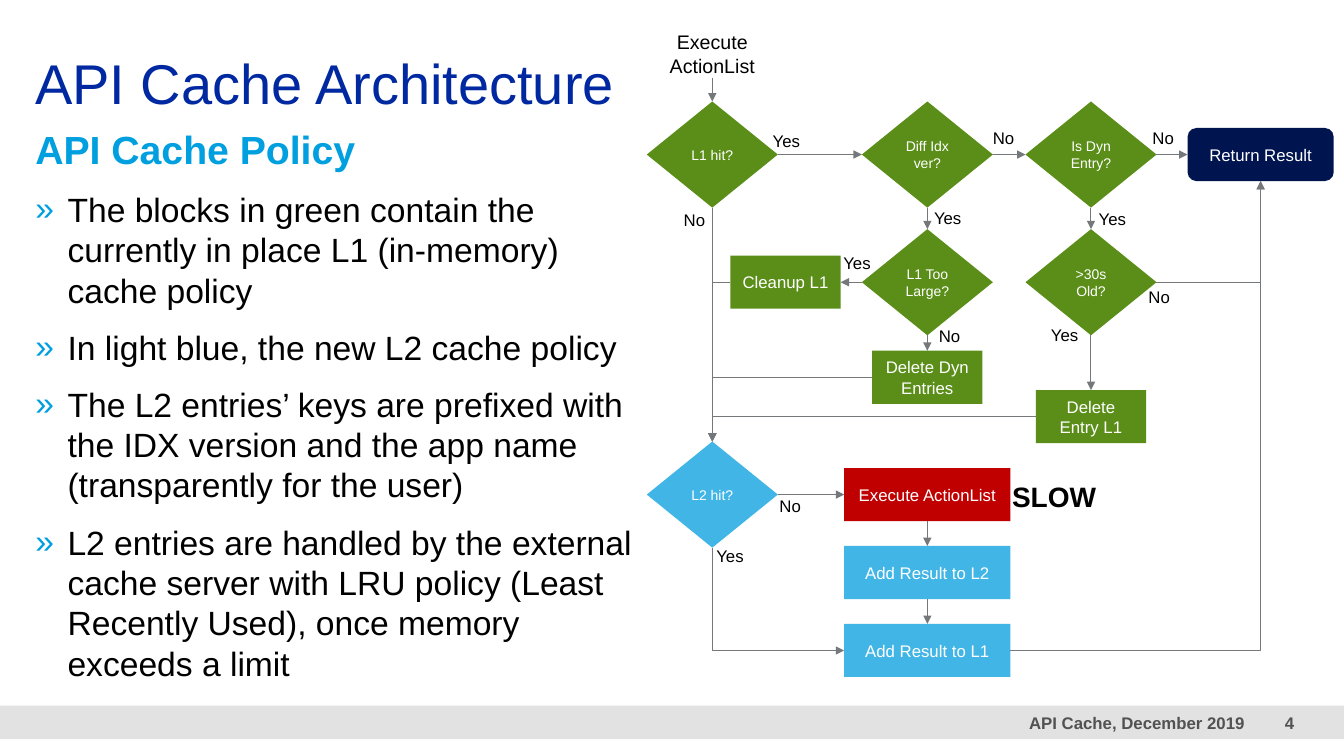
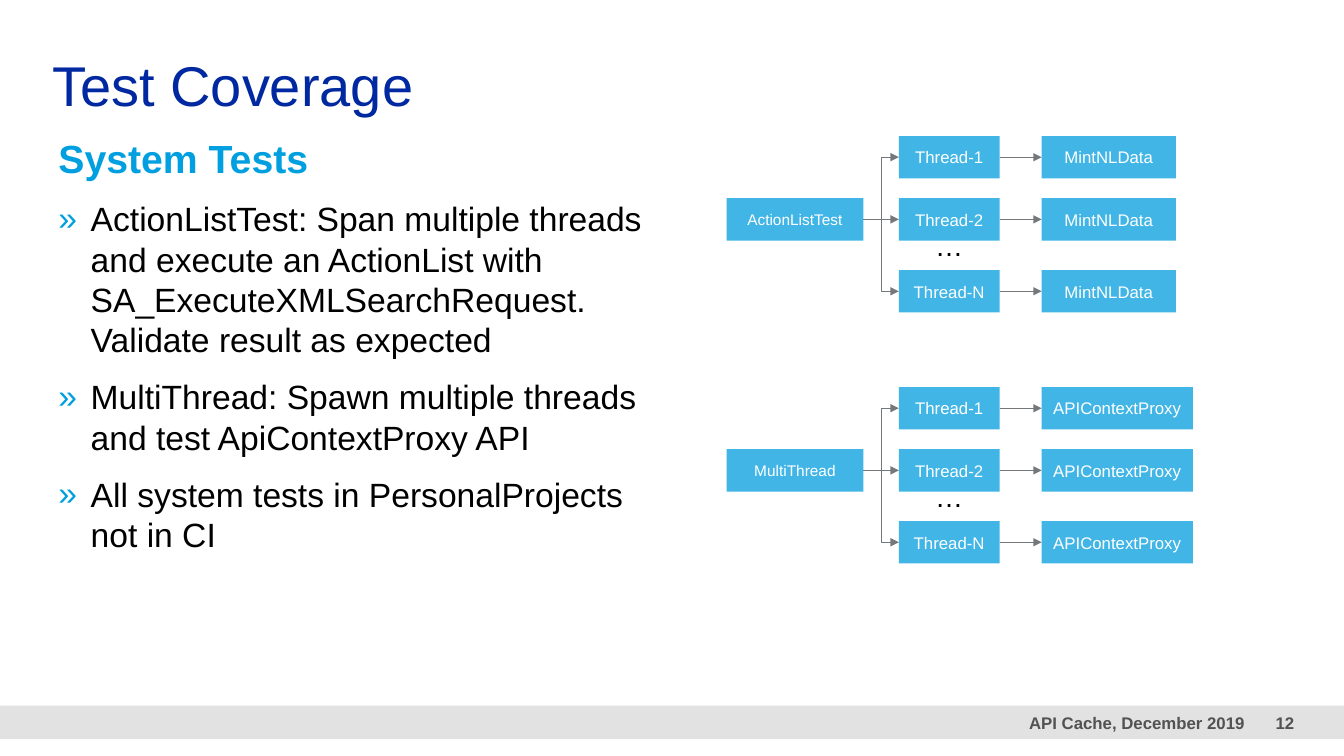
"""Build two slides on the API cache: its policy flow and its test coverage."""
from dataclasses import dataclass

from lxml.etree import SubElement
from pptx import Presentation
from pptx.dml.color import RGBColor
from pptx.enum.shapes import MSO_CONNECTOR, MSO_SHAPE
from pptx.enum.text import MSO_ANCHOR, MSO_AUTO_SIZE, PP_ALIGN
from pptx.oxml.ns import qn
from pptx.shapes.autoshape import Shape
from pptx.slide import Slide
from pptx.text.text import TextFrame, _Paragraph
from pptx.util import Inches, Length, Pt

WIDE, HIGH = Inches(13.33), Inches(7.5)
COLS, ROWS = 40, 22.5
TOP, LEFT, BASE, RIGHT = range(4)


@dataclass(frozen=True)
class Theme:
    """Colours and type sizes of the deck."""
    font: str = "Arial"
    title: str = "0028A0"
    accent: str = "009FDF"
    ink: str = "000000"
    paper: str = "FFFFFF"
    green: str = "5A8E18"
    blue: str = "41B6E6"
    navy: str = "001450"
    red: str = "C00000"
    line: str = "75787B"
    band: str = "E2E2E2"
    foot: str = "525252"
    huge: float = 40
    head: float = 28
    body: float = 24
    loud: float = 20
    lead: float = 14
    text: float = 12
    small: float = 11
    tiny: float = 10
    rule: float = 0.75


LOOK = Theme()


@dataclass(frozen=True)
class Area:
    """Left, top, width and height in grid columns and rows."""
    x: float
    y: float
    w: float
    h: float

    def place(self) -> tuple[Length, ...]:
        """Turn grid units into slide lengths."""
        return (Length(round(self.x * WIDE / COLS)), Length(round(self.y * HIGH / ROWS)),
                Length(round(self.w * WIDE / COLS)), Length(round(self.h * HIGH / ROWS)))


@dataclass(frozen=True)
class Node:
    """A flow chart block, placed by its centre."""
    text: str
    x: float
    y: float
    w: float = 3.28
    h: float = 1.58
    fill: str = LOOK.green
    size: float = LOOK.text
    form: MSO_SHAPE = MSO_SHAPE.RECTANGLE

    def area(self) -> Area:
        """Give the area around the centre."""
        return Area(self.x - self.w / 2, self.y - self.h / 2, self.w, self.h)


@dataclass(frozen=True)
class Link:
    """An arrow between sides of two named nodes."""
    start: str
    out: int
    end: str
    into: int


@dataclass(frozen=True)
class Label:
    """A short text placed by its top left corner."""
    text: str
    x: float
    y: float


@dataclass(frozen=True)
class Suite:
    """A test that starts threads, each of which makes one call."""
    name: str
    call: str
    y: float
    w: float


def tone(code: str) -> RGBColor:
    """Read a hex colour."""
    return RGBColor.from_string(code)


def style(par: _Paragraph, size: float, ink: str, bold: bool = False) -> None:
    """Set the font of a paragraph."""
    font = par.font
    font.name, font.size, font.bold = LOOK.font, Pt(size), bold
    font.color.rgb = tone(ink)


def strip(frame: TextFrame, side: MSO_ANCHOR = MSO_ANCHOR.TOP) -> None:
    """Clear the margins and fix the wrap and anchor."""
    frame.margin_left = frame.margin_top = frame.margin_right = frame.margin_bottom = 0
    frame.word_wrap, frame.auto_size = True, MSO_AUTO_SIZE.NONE
    frame.vertical_anchor = side


def note(slide: Slide, text: str, area: Area, size: float = LOOK.text, ink: str = LOOK.ink,
         bold: bool = False, align: PP_ALIGN = PP_ALIGN.LEFT,
         side: MSO_ANCHOR = MSO_ANCHOR.TOP) -> Shape:
    """Add a plain text box."""
    box = slide.shapes.add_textbox(*area.place())
    strip(box.text_frame, side)
    par = box.text_frame.paragraphs[0]
    par.text, par.alignment = text, align
    style(par, size, ink, bold)
    return box


def block(slide: Slide, form: MSO_SHAPE, area: Area, fill: str) -> Shape:
    """Add a filled shape with no line or shadow."""
    shape = slide.shapes.add_shape(form, *area.place())
    shape.shadow.inherit = False
    shape.fill.solid()
    shape.fill.fore_color.rgb = tone(fill)
    shape.line.fill.background()
    return shape


def draw(slide: Slide, node: Node) -> Shape:
    """Draw a node with its centred text."""
    shape = block(slide, node.form, node.area(), node.fill)
    frame = shape.text_frame
    frame.word_wrap, frame.vertical_anchor = True, MSO_ANCHOR.MIDDLE
    par = frame.paragraphs[0]
    par.text, par.alignment = node.text, PP_ALIGN.CENTER
    style(par, node.size, LOOK.paper)
    return shape


def spot(shape: Shape, side: int) -> tuple[Length, Length]:
    """Find the middle of one side of a shape."""
    across = {LEFT: 0, RIGHT: shape.width}.get(side, shape.width // 2)
    down = {TOP: 0, BASE: shape.height}.get(side, shape.height // 2)
    return Length(shape.left + across), Length(shape.top + down)


def join(slide: Slide, first: Shape, out: int, last: Shape, into: int) -> None:
    """Join two shapes with a straight or bent arrow."""
    upright = {TOP, BASE}
    turn = (out in upright) != (into in upright)
    tip = "tailEnd"
    if turn and out in upright:
        first, out, last, into, tip = last, into, first, out, "headEnd"
    here, there = spot(first, out), spot(last, into)
    level = any(abs(a - b) < Inches(0.02) for a, b in zip(here, there))
    kind = MSO_CONNECTOR.STRAIGHT if level else MSO_CONNECTOR.ELBOW
    wire = slide.shapes.add_connector(kind, *here, *there)
    wire.begin_connect(first, out)
    wire.end_connect(last, into)
    wire.line.color.rgb, wire.line.width = tone(LOOK.line), Pt(LOOK.rule)
    props = wire._element.spPr
    if turn:
        props.find(qn("a:prstGeom")).set("prst", "bentConnector2")
    SubElement(props.find(qn("a:ln")), qn("a:" + tip), type="triangle")
    SubElement(props, qn("a:effectLst"))


def mark(par: _Paragraph, point: bool) -> None:
    """Give a paragraph a bullet, or take it away."""
    props = par._p.get_or_add_pPr()
    dent = Inches(0.32) if point else 0
    props.set("marL", str(dent))
    props.set("indent", str(-dent))
    if point:
        paint = SubElement(props, qn("a:buClr"))
        SubElement(paint, qn("a:srgbClr"), val=LOOK.accent)
        SubElement(props, qn("a:buFont"), typeface=LOOK.font)
        SubElement(props, qn("a:buChar"), char="»")
    else:
        SubElement(props, qn("a:buNone"))


def page(deck: Presentation, title: str, spot: Area, items: list[str], area: Area,
         count: int) -> Slide:
    """Add a slide with title, list, band and footer."""
    slide = deck.slides.add_slide(deck.slide_layouts[1])
    block(slide, MSO_SHAPE.RECTANGLE, Area(0, 21, COLS, 1), LOOK.band)
    for text, place in (("API Cache, December 2019", Area(18.78, 21, 18.27, 1)),
                        (str(count), Area(37.02, 21, 1.5, 1))):
        note(slide, text, place, LOOK.text, LOOK.foot, True, PP_ALIGN.RIGHT, MSO_ANCHOR.MIDDLE)
    head, body = slide.shapes.title, slide.placeholders[1]
    for held, place in ((head, spot), (body, area)):
        held.left, held.top, held.width, held.height = place.place()
        strip(held.text_frame)
    par = head.text_frame.paragraphs[0]
    par.text, par.alignment = title, PP_ALIGN.LEFT
    style(par, LOOK.huge, LOOK.title)
    body.text_frame.text = "\n".join(items)
    for rank, par in enumerate(body.text_frame.paragraphs):
        point = rank > 0
        mark(par, point)
        par.level = int(point)
        par.space_before = Pt(12 if point else 0)
        style(par, LOOK.body if point else LOOK.head,
              LOOK.ink if point else LOOK.accent, not point)
    return slide


def test(text: str, x: float, y: float, fill: str = LOOK.green) -> Node:
    """Make a diamond that asks a question."""
    return Node(text, x, y, 3.9, 3.16, fill, LOOK.tiny, MSO_SHAPE.FLOWCHART_SORT)


def flow(slide: Slide) -> None:
    """Draw the cache policy flow chart."""
    one, two, three, four = 21.2, 27.6, 32.47, 37.52
    high, mid, low, step = 4.6, 8.4, 14.72, 2.32
    nodes = {
        "hit": test("L1 hit?", one, high),
        "diff": test("Diff Idx ver?", two, high),
        "dyn": test("Is Dyn Entry?", three, high),
        "done": Node("Return Result", four, high, 4.35, fill=LOOK.navy,
                     form=MSO_SHAPE.ROUNDED_RECTANGLE),
        "clean": Node("Cleanup L1", 23.38, mid),
        "large": test("L1 Too Large?", two, mid),
        "old": test(">30s Old?", three, mid),
        "drop": Node("Delete Dyn Entries", two, 11.23),
        "wipe": Node("Delete Entry L1", three, 12.4),
        "next": test("L2 hit?", one, low, LOOK.blue),
        "run": Node("Execute ActionList", two, low, 4.95, fill=LOOK.red),
        "addtwo": Node("Add Result to L2", two, low + step, 4.95, fill=LOOK.blue),
        "addone": Node("Add Result to L1", two, low + 2 * step, 4.95, fill=LOOK.blue),
    }
    shapes = {key: draw(slide, node) for key, node in nodes.items()}
    shapes["start"] = note(slide, "Execute ActionList", Area(one - 1.71, 0.9, 3.42, 1.41),
                           LOOK.lead, align=PP_ALIGN.CENTER)
    for link in (
        Link("start", BASE, "hit", TOP), Link("hit", RIGHT, "diff", LEFT),
        Link("diff", RIGHT, "dyn", LEFT), Link("dyn", RIGHT, "done", LEFT),
        Link("hit", BASE, "next", TOP), Link("diff", BASE, "large", TOP),
        Link("dyn", BASE, "old", TOP), Link("large", LEFT, "clean", RIGHT),
        Link("large", BASE, "drop", TOP), Link("old", BASE, "wipe", TOP),
        Link("old", RIGHT, "done", BASE), Link("clean", LEFT, "next", TOP),
        Link("drop", LEFT, "next", TOP), Link("wipe", LEFT, "next", TOP),
        Link("next", RIGHT, "run", LEFT), Link("next", BASE, "addone", LEFT),
        Link("run", BASE, "addtwo", TOP), Link("addtwo", BASE, "addone", TOP),
        Link("addone", RIGHT, "done", BASE),
    ):
        join(slide, shapes[link.start], link.out, shapes[link.end], link.into)
    for label in (
        Label("Yes", 23, 3.9), Label("No", 29.55, 3.81), Label("No", 34.3, 3.81),
        Label("No", 20.35, 6.23), Label("Yes", 27.8, 6.18), Label("Yes", 32.7, 6.2),
        Label("Yes", 25.1, 7.53), Label("No", 34.18, 8.52), Label("No", 27.94, 9.7),
        Label("Yes", 31.28, 9.66), Label("No", 23.2, 14.76), Label("Yes", 21.32, 16.23),
    ):
        note(slide, label.text, Area(label.x, label.y, 1, 0.6))
    note(slide, "SLOW", Area(30.12, 14.28, 2.7, 1.02), LOOK.loud, bold=True)


def fan(slide: Slide, suite: Suite) -> None:
    """Draw one test with its threads and calls."""
    tall, mid = 1.26, 1.85
    root = draw(slide, Node(suite.name, 23.66, suite.y + mid, 4.07, tall, LOOK.blue, LOOK.small))
    for mark, drop in (("1", 0), ("2", mid), ("N", 3.99)):
        y = suite.y + drop
        thread = draw(slide, Node(f"Thread-{mark}", 28.25, y, 3, tall, LOOK.blue))
        call = draw(slide, Node(suite.call, 31 + suite.w / 2, y, suite.w, tall, LOOK.blue))
        join(slide, root, RIGHT, thread, LEFT)
        join(slide, thread, RIGHT, call, LEFT)
    note(slide, "…", Area(27.83, suite.y + 2.13, 0.84, 1.02), LOOK.loud)


def main() -> None:
    """Build and save the deck."""
    deck = Presentation()
    deck.slide_width, deck.slide_height = WIDE, HIGH
    flow(page(deck, "API Cache Architecture", Area(1.05, 1.44, 17.46, 2), [
        "API Cache Policy",
        "The blocks in green contain the currently in place L1 (in-memory) cache policy",
        "In light blue, the new L2 cache policy",
        "The L2 entries’ keys are prefixed with the IDX version and the app name "
        "(transparently for the user)",
        "L2 entries are handled by the external cache server with LRU policy "
        "(Least Recently Used), once memory exceeds a limit",
    ], Area(1.05, 3.72, 18.1, 15.06), 4))
    tests = page(deck, "Test Coverage", Area(1.56, 1.5, 17.46, 2), [
        "System Tests",
        "ActionListTest: Span multiple threads and execute an ActionList with "
        "SA_ExecuteXMLSearchRequest. Validate result as expected",
        "MultiThread: Spawn multiple threads and test ApiContextProxy API",
        "All system tests in PersonalProjects not in CI",
    ], Area(1.74, 4, 17.46, 15.06), 12)
    for suite in (Suite("ActionListTest", "MintNLData", 4.68, 4),
                  Suite("MultiThread", "APIContextProxy", 12.15, 4.5)):
        fan(tests, suite)
    deck.save("out.pptx")


if __name__ == "__main__":
    main()
